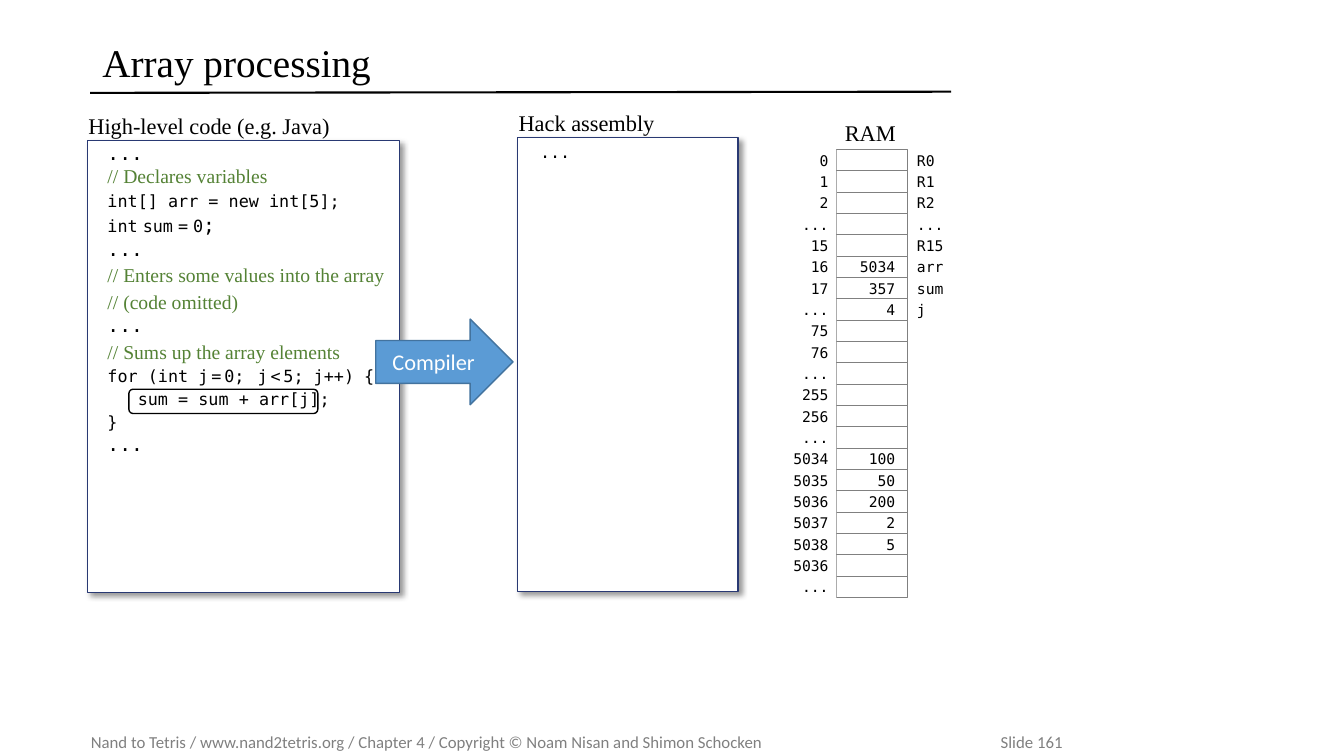
from lxml import etree
from pptx import Presentation
from pptx.dml.color import RGBColor
from pptx.enum.shapes import MSO_CONNECTOR, MSO_SHAPE
from pptx.enum.text import MSO_ANCHOR, PP_ALIGN
from pptx.oxml import parse_xml
from pptx.oxml.ns import nsdecls, qn
from pptx.util import Cm, Pt

RECT, ROUND, ARROW = MSO_SHAPE.RECTANGLE, MSO_SHAPE.ROUNDED_RECTANGLE, MSO_SHAPE.RIGHT_ARROW
STRAIGHT = MSO_CONNECTOR.STRAIGHT
TOP, MIDDLE = MSO_ANCHOR.TOP, MSO_ANCHOR.MIDDLE
LEFT, CENTER, RIGHT = PP_ALIGN.LEFT, PP_ALIGN.CENTER, PP_ALIGN.RIGHT
SERIF, SANS, MONO = "Times New Roman", "Calibri", "DejaVu Sans Mono"
COLORS = {
    "black": "000000", "white": "FFFFFF", "gray": "808080", "navy": "293973",
    "green": "548235", "blue": "5B9BD5", "steel": "43739E",
}

DOTS = dict(font=MONO, size=14)
NOTE = dict(size=14, color="green")
CODE = dict(font=MONO, size=12)
PROGRAM = [
    (["..."], DOTS, 0),
    (["// Declares variables"], NOTE, 0),
    (["int[] arr = new int[5];"], CODE, 2),
    (["int", " ", "sum", " ", "=", " ", "0", ";"], CODE, 2, 14),
    (["..."], DOTS, 0),
    (["// Enters some values into the array"], NOTE, 2),
    (["// (code omitted)"], NOTE, 2),
    (["..."], DOTS, 0),
    (["// Sums up the array elements"], NOTE, 2),
    (["for (int j", " ", "=", " ", "0;", " ", " j", " ", "<", " ", "5; j++) {"], CODE, 2, 8),
    (["   sum = sum + arr[j];"], CODE, 2),
    (["}"], CODE, 2),
    (["..."], DOTS, 0),
]
MEMORY = [
    ("0", "", "R0"), ("1", "", "R1"), ("2", "", "R2"), ("...", "", "..."),
    ("15", "", "R15"), ("16", "5034", "arr"), ("17", "357", "sum"),
    ("...", "4", "j"), ("75", "", ""), ("76", "", ""), ("...", "", ""),
    ("255", "", ""), ("256", "", ""), ("...", "", ""), ("5034", "100", ""),
    ("5035", "50", ""), ("5036", "200", ""), ("5037", "2", ""),
    ("5038", "5", ""), ("5036", "", ""), ("...", "", ""),
]


def rgb(name):
    return RGBColor.from_string(COLORS[name])


def say(para, text, font=SERIF, size=16, color="black", align=LEFT):
    para.alignment = align
    run = para.add_run()
    run.text = text
    run.font.name, run.font.size = font, Pt(size)
    run.font.color.rgb = rgb(color)


def pad(frame, left=0.25, top=0.13, right=0.25, bottom=0.13, anchor=TOP):
    frame.word_wrap = True
    frame.vertical_anchor = anchor
    frame.margin_left, frame.margin_top = Cm(left), Cm(top)
    frame.margin_right, frame.margin_bottom = Cm(right), Cm(bottom)
    return frame


def shape(slide, kind, box, fill=None, line=None, width=0.75):
    item = slide.shapes.add_shape(kind, *map(Cm, box))
    item.shadow.inherit = False
    if fill:
        item.fill.solid()
        item.fill.fore_color.rgb = rgb(fill)
    else:
        item.fill.background()
    if line:
        item.line.color.rgb = rgb(line)
        item.line.width = Pt(width)
    else:
        item.line.fill.background()
    return item


def caption(slide, text, x, y, w):
    label = slide.shapes.add_textbox(Cm(x), Cm(y), Cm(w), Cm(1.07))
    say(pad(label.text_frame).paragraphs[0], text)


def panel(slide, title, box):
    x, y, w, h = box
    item = shape(slide, RECT, box, "white", "navy")
    effects = item.element.spPr.find(qn("a:effectLst"))
    effects.append(parse_xml(
        f'<a:outerShdw {nsdecls("a")} blurRad="{Pt(4)}" dist="{Pt(3)}" dir="2700000">'
        f'<a:srgbClr val="{COLORS["black"]}"><a:alpha val="40000"/></a:srgbClr></a:outerShdw>'))
    caption(slide, title, x - 0.23, y - 0.85, 7.5)
    return item.text_frame


def source(slide, box):
    x, y, w, h = box
    frame = pad(panel(slide, "High-level code (e.g. Java)", box), 0.5, 0, 0, 0)
    for i, (parts, style, gap, *alt) in enumerate(PROGRAM):
        para = frame.add_paragraph() if i else frame.paragraphs[0]
        para.space_before = Pt(gap)
        for j, part in enumerate(parts):
            look = dict(style)
            if j % 2:
                look["size"] = alt[0]
            if part == " ":
                look["font"] = SERIF
            say(para, part, **look)
    shape(slide, ROUND, (x + 1.04, y + 6.27, 4.76, 0.61), line="black", width=1)


def target(slide, box):
    frame = pad(panel(slide, "Hack assembly", box), 0.56, 0.1, 0, 0.1)
    say(frame.paragraphs[0], "...", **CODE)


def arrow(slide, box):
    item = shape(slide, ARROW, box, "blue", "steel", 1)
    frame = pad(item.text_frame, anchor=MIDDLE)
    say(frame.paragraphs[0], "Compiler", font=SANS, color="white", align=CENTER)


def cell(slide, text, box, left, right, align, line=None):
    item = shape(slide, RECT, box, "white", line)
    if text:
        frame = pad(item.text_frame, left, 0, right, 0, MIDDLE)
        say(frame.paragraphs[0], text, font=MONO, size=10.5, align=align)


def memory(slide, box):
    x, y, w, h = box
    step = h / len(MEMORY)
    for i, (address, value, name) in enumerate(MEMORY):
        top = y + i * step
        wide = 1.52 if len(address) > 3 else 1.32
        cell(slide, value, (x, top, w, step), 0.3, 0.3, RIGHT, "gray")
        cell(slide, address, (x - wide, top, wide, step), 0.3, 0.2, RIGHT)
        if name:
            cell(slide, name, (x + w + 0.05, top, 1.32, step), 0.2, 0.3, LEFT)
    caption(slide, "RAM", x - 0.04, y - 0.89, 1.83)


def header(slide, box):
    x, y, w, h = box
    title = slide.shapes.title
    title.left, title.top, title.width, title.height = map(Cm, box)
    para = pad(title.text_frame, anchor=MIDDLE).paragraphs[0]
    para.line_spacing = 0.9
    say(para, "Array processing", size=28)
    rule = slide.shapes.add_connector(
        STRAIGHT, Cm(x - 0.06), Cm(y + 1.51), Cm(x + w - 0.03), Cm(y + 1.48))
    rule.line.color.rgb = rgb("black")
    rule.line.width = Pt(1.5)
    etree.SubElement(rule.element.spPr, qn("a:effectLst"))


def footer(slide, box):
    item = slide.shapes.add_textbox(*map(Cm, box))
    para = pad(item.text_frame, left=0, right=0, anchor=MIDDLE).paragraphs[0]
    tabs = etree.SubElement(para._p.get_or_add_pPr(), qn("a:tabLst"))
    etree.SubElement(tabs, qn("a:tab"), pos=str(Cm(22.93)), algn="l")
    say(para, "Nand to Tetris / www.nand2tetris.org / Chapter 4 / "
        "Copyright © Noam Nisan and Shimon Schocken\tSlide 161",
        font=SANS, size=12, color="gray")


def main():
    deck = Presentation()
    deck.slide_width, deck.slide_height = Cm(33.87), Cm(19.05)
    slide = deck.slides.add_slide(deck.slide_layouts[5])
    header(slide, (2.33, 0.83, 21.67, 1.6))
    source(slide, (2.21, 3.54, 7.87, 11.38))
    memory(slide, (21.08, 3.77, 1.78, 11.29))
    arrow(slide, (9.47, 8.04, 3.46, 2.16))
    target(slide, (13.05, 3.47, 5.55, 11.43))
    footer(slide, (2.29, 18.31, 31.12, 0.76))
    deck.save("out.pptx")


if __name__ == "__main__":
    main()
